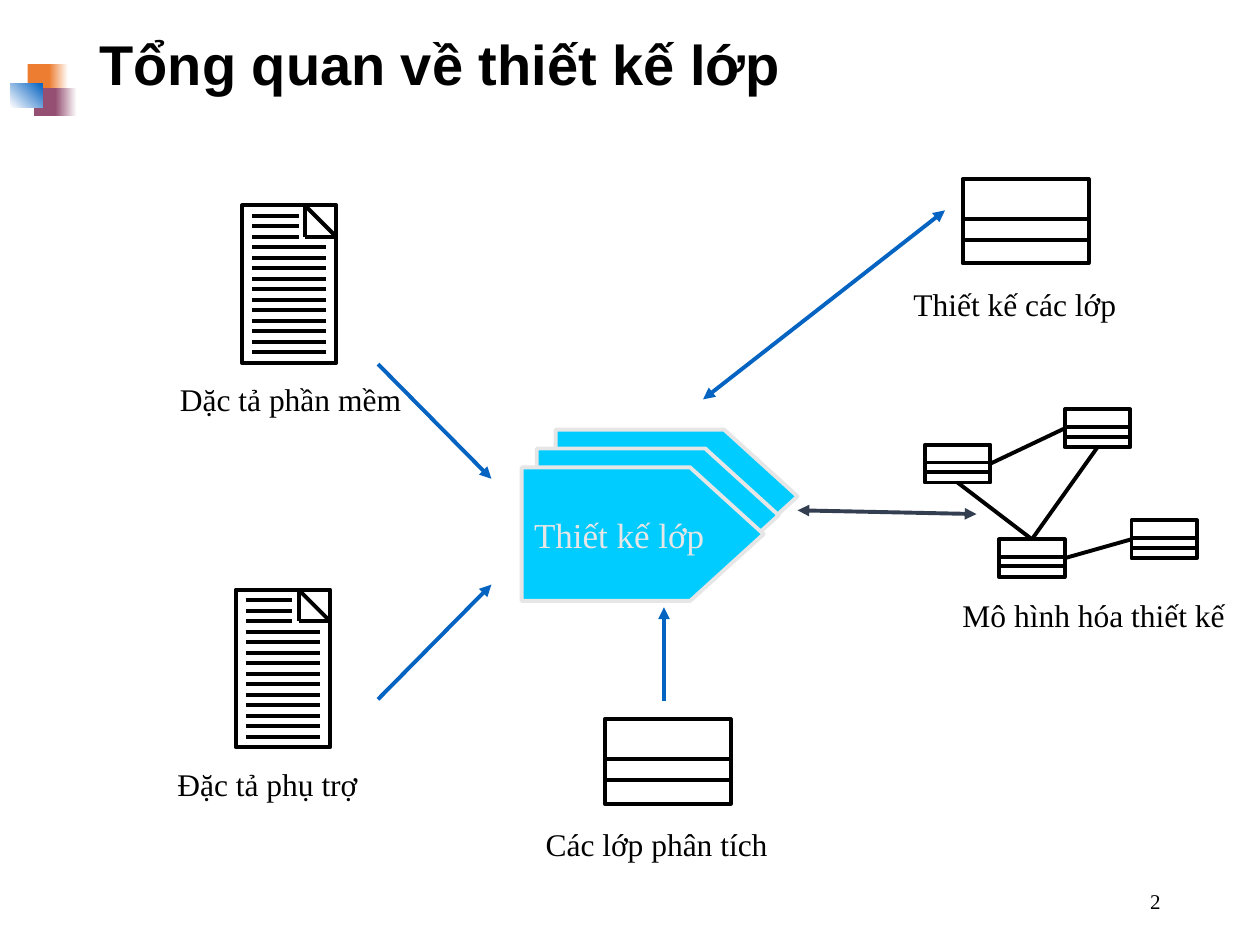
from lxml import etree
from pptx import Presentation
from pptx.dml.color import RGBColor
from pptx.enum.shapes import MSO_CONNECTOR, MSO_SHAPE
from pptx.enum.text import MSO_ANCHOR, MSO_AUTO_SIZE, PP_ALIGN
from pptx.oxml.ns import qn
from pptx.util import Inches, Pt

RECTANGLE = MSO_SHAPE.RECTANGLE
HOME_PLATE = MSO_SHAPE.PENTAGON
STRAIGHT = MSO_CONNECTOR.STRAIGHT
TOP, LEFT, BOTTOM, RIGHT = range(4)
SERIF = "Times New Roman"
BLACK, BLUE, SLATE = "000000", "0563C1", "333F50"
ORANGE, PLUM, CYAN, PALE = "ED7D31", "954F72", "00CCFF", "E7E6E6"
WHITE = "FFFFFF"


def color(value):
    return RGBColor.from_string(value)


def set_font(paragraph, name, size, value, bold=False):
    font = paragraph.font
    font.name, font.size, font.bold = name, Pt(size), bold
    font.color.rgb = color(value)


def add_box(shapes, left, top, width, height, fill=None, line=None, kind=RECTANGLE):
    shape = shapes.add_shape(kind, Inches(left), Inches(top), Inches(width), Inches(height))
    shape.shadow.inherit = False
    if fill:
        shape.fill.solid()
        shape.fill.fore_color.rgb = color(fill)
    else:
        shape.fill.background()
    if line:
        shape.line.color.rgb = color(line)
        shape.line.width = Pt(2.25)
    else:
        shape.line.fill.background()
    return shape


def add_gradient_box(shapes, left, top, width, height, stops, angle):
    fill = add_box(shapes, left, top, width, height).fill
    fill.gradient()
    fill.gradient_angle = angle
    for stop, value in zip(fill.gradient_stops, stops):
        stop.color.rgb = color(value)


def add_line(shapes, start, end, line=BLACK, heads=()):
    """Draw a line; heads names its arrow ends, headEnd at start and tailEnd at end."""
    connector = shapes.add_connector(STRAIGHT, *map(Inches, start + end))
    connector.line.color.rgb = color(line)
    connector.line.width = Pt(2.25)
    line_xml = connector.line._get_or_add_ln()
    for head in heads:
        etree.SubElement(line_xml, qn(f"a:{head}"), type="triangle")
    etree.SubElement(connector._element.spPr, qn("a:effectLst"))
    return connector


def add_label(shapes, text, left, top, width, height=0.4, inset=True):
    box = shapes.add_textbox(Inches(left), Inches(top), Inches(width), Inches(height))
    frame = box.text_frame
    frame.word_wrap = False
    frame.auto_size = MSO_AUTO_SIZE.SHAPE_TO_FIT_TEXT
    if not inset:
        frame.margin_left = frame.margin_right = 0
        frame.margin_top = frame.margin_bottom = 0
    frame.text = text
    set_font(frame.paragraphs[0], SERIF, 18, BLACK)


def add_document(shapes, left, top):
    """Draw a page with a folded corner and evenly spaced text lines."""
    width, height, fold, count = 0.75, 1.25, 0.25, 14
    add_box(shapes, left, top, width, height, line=BLACK)
    fold_top = (left + width - fold, top)
    fold_corner = (left + width - fold, top + fold)
    fold_right = (left + width, top + fold)
    add_line(shapes, fold_top, fold_right)
    add_line(shapes, fold_top, fold_corner)
    add_line(shapes, fold_right, fold_corner)
    for row in range(1, count + 1):
        y = top + row * height / (count + 1)
        end = 0.45 if row <= 3 else 0.67
        add_line(shapes, (left + 0.08, y), (left + end, y))


def add_class(shapes, left, top, width, height):
    """Draw a class symbol with three compartments."""
    box = add_box(shapes, left, top, width, height, line=BLACK)
    for share in (0.47, 0.72):
        y = top + share * height
        add_line(shapes, (left, y), (left + width, y))
    return box


def add_design_model(shapes):
    places = [(7.34, 3.53), (8.45, 3.25), (7.93, 4.28), (8.98, 4.13)]
    first, second, third, fourth = [
        add_class(shapes, left, top, 0.52, 0.3) for left, top in places]
    links = [(third, TOP, first, BOTTOM), (first, RIGHT, second, LEFT),
             (third, RIGHT, fourth, LEFT), (third, TOP, second, BOTTOM)]
    for begin, begin_side, end, end_side in links:
        connector = add_line(shapes, (0, 0), (1, 1))
        connector.begin_connect(begin, begin_side)
        connector.end_connect(end, end_side)
    add_label(shapes, "Mô hình hóa thiết kế", 7.54, 4.68, 2.31)


def add_ornament(shapes):
    add_box(shapes, 0.22, 0.51, 0.2, 0.22, ORANGE)
    add_gradient_box(shapes, 0.39, 0.51, 0.15, 0.22, (ORANGE, WHITE), 0)
    add_box(shapes, 0.27, 0.7, 0.19, 0.22, PLUM)
    add_gradient_box(shapes, 0.44, 0.7, 0.17, 0.22, (PLUM, WHITE), 0)
    add_gradient_box(shapes, 0.08, 0.66, 0.26, 0.19, (WHITE, BLUE), 45)


def add_title(slide, text):
    title = slide.shapes.title
    title.left, title.top = Inches(0.69), Inches(0.13)
    title.width, title.height = Inches(8.62), Inches(0.81)
    title.text_frame.text = text
    title.text_frame.vertical_anchor = MSO_ANCHOR.MIDDLE
    paragraph = title.text_frame.paragraphs[0]
    paragraph.alignment = PP_ALIGN.LEFT
    paragraph.line_spacing = 0.9
    set_font(paragraph, "Arial", 32, BLACK, bold=True)


def add_page_number(shapes, number):
    box = shapes.add_textbox(Inches(7.06), Inches(6.95), Inches(2.25), Inches(0.4))
    frame = box.text_frame
    frame.word_wrap = True
    frame.vertical_anchor = MSO_ANCHOR.MIDDLE
    frame.text = number
    frame.paragraphs[0].alignment = PP_ALIGN.RIGHT
    set_font(frame.paragraphs[0], SERIF, 12, BLACK)


def add_process(shapes, text):
    """Stack three home plates and write the text on the front one."""
    for left, top in [(4.41, 3.41), (4.26, 3.56), (4.14, 3.71)]:
        plate = add_box(shapes, left, top, 1.92, 1.06, CYAN, PALE, HOME_PLATE)
        plate.adjustments[0] = 0.55
    frame = plate.text_frame
    frame.word_wrap = False
    frame.vertical_anchor = MSO_ANCHOR.MIDDLE
    frame.text = text
    frame.paragraphs[0].alignment = PP_ALIGN.LEFT
    set_font(frame.paragraphs[0], SERIF, 20, PALE)


def main():
    presentation = Presentation()
    presentation.slide_width, presentation.slide_height = Inches(10), Inches(7.5)
    slide = presentation.slides.add_slide(presentation.slide_layouts[5])
    shapes = slide.shapes

    add_ornament(shapes.add_group_shape().shapes)
    add_title(slide, "Tổng quan về thiết kế lớp")
    add_page_number(shapes, "2")

    supplement = shapes.add_group_shape().shapes
    add_document(supplement, 1.87, 4.68)
    add_label(supplement, "Đặc tả phụ trợ", 1.31, 6.02, 1.64)

    add_process(shapes, "Thiết kế lớp")

    software = shapes.add_group_shape().shapes
    add_document(software, 1.92, 1.63)
    add_label(software, "Dặc tả phần mềm", 1.33, 2.97, 1.98)

    design_classes = shapes.add_group_shape().shapes
    add_label(design_classes, "Thiết kế các lớp", 7.25, 2.26, 1.63, 0.3, inset=False)
    add_class(design_classes, 7.64, 1.42, 1, 0.67)

    add_design_model(shapes.add_group_shape().shapes)

    analysis_classes = shapes.add_group_shape().shapes
    add_label(analysis_classes, "Các lớp phân tích", 4.33, 6.55, 1.78, 0.3, inset=False)
    add_class(analysis_classes, 4.8, 5.71, 1, 0.67)

    one_way, two_way = ("tailEnd",), ("headEnd", "tailEnd")
    add_line(shapes, (3, 2.89), (3.9, 3.8), BLUE, one_way)
    add_line(shapes, (5.58, 3.17), (7.5, 1.67), BLUE, two_way)
    add_line(shapes, (3, 5.55), (3.9, 4.64), BLUE, one_way)
    add_line(shapes, (7.75, 4.08), (6.33, 4.05), SLATE, two_way)
    add_line(shapes, (5.27, 5.56), (5.27, 4.82), BLUE, one_way)

    presentation.save("out.pptx")


if __name__ == "__main__":
    main()
